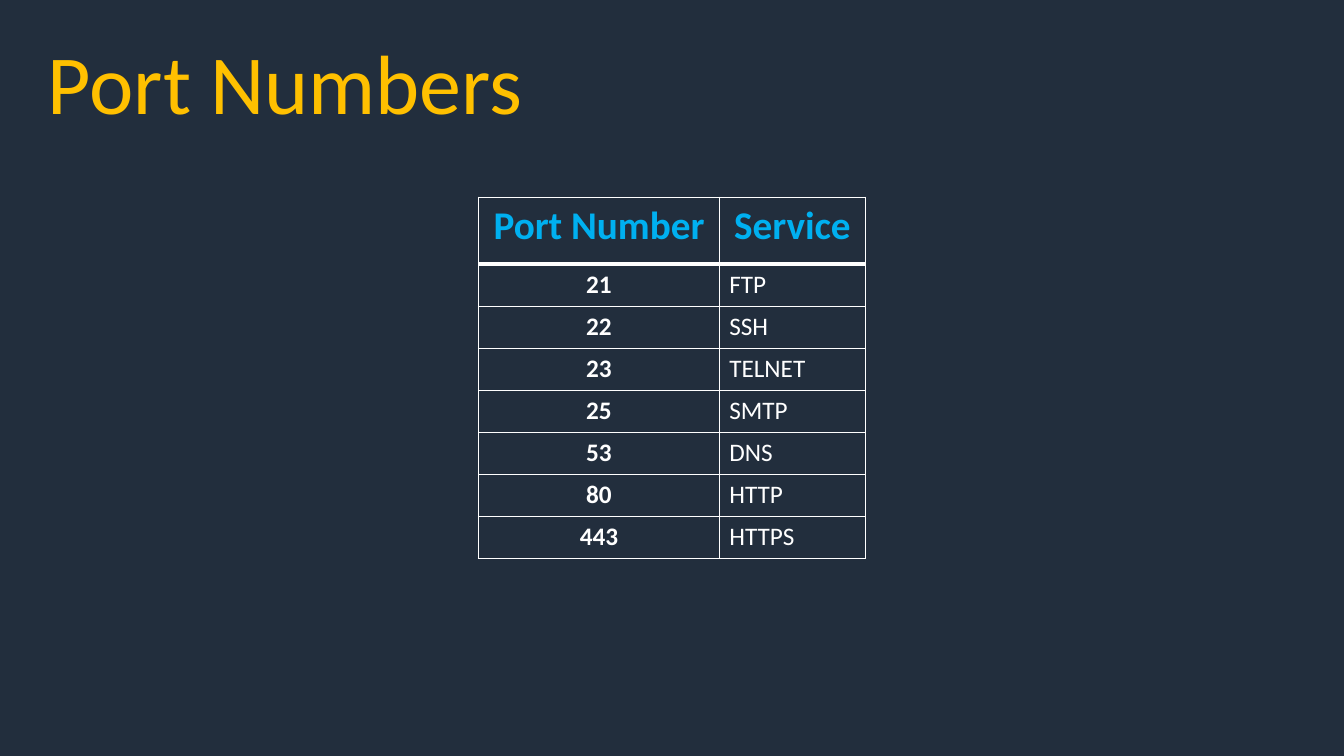
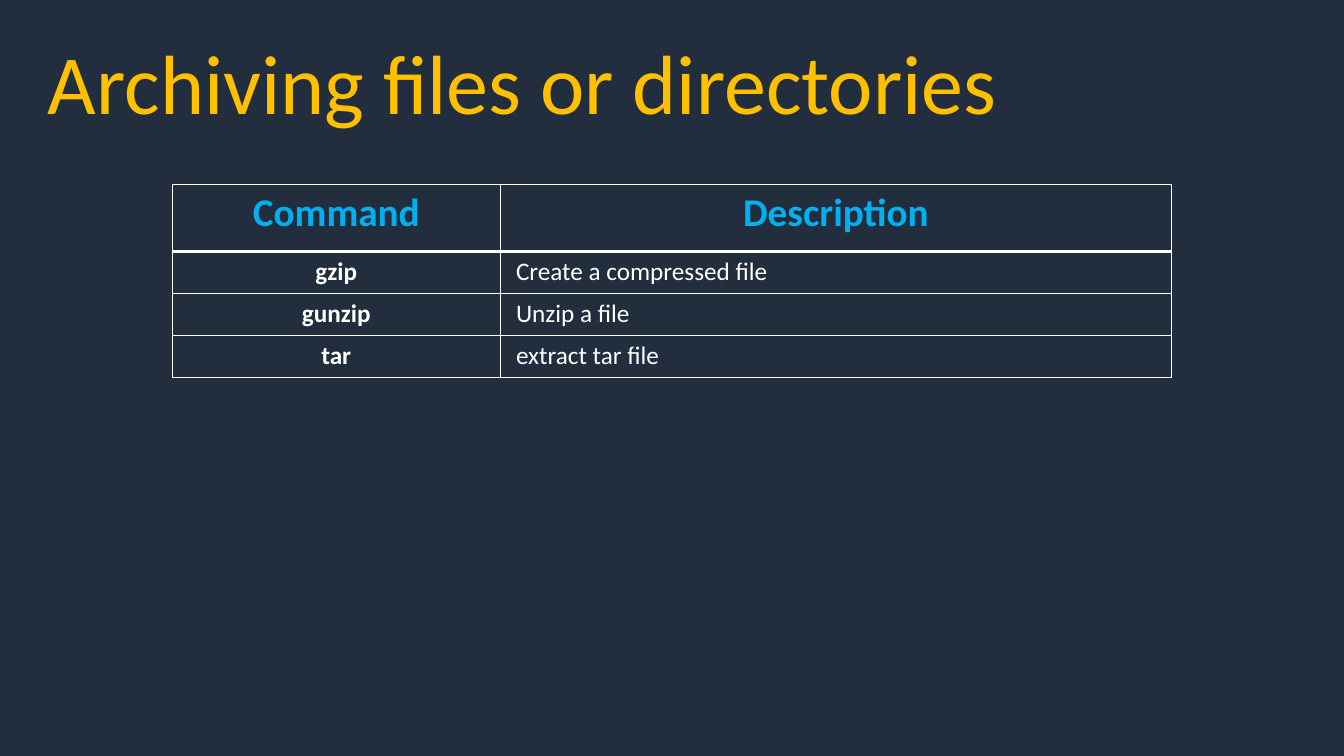
from lxml import etree
from pptx import Presentation
from pptx.dml.color import RGBColor
from pptx.enum.text import PP_ALIGN
from pptx.oxml.ns import qn
from pptx.util import Cm, Pt

LEFT, CENTER = PP_ALIGN.LEFT, PP_ALIGN.CENTER
SLIDE_WIDTH, SLIDE_HEIGHT = 33.87, 19.05
HEADER_HEIGHT, ROW_HEIGHT = 1.69, 1.06

PORTS = [
    ("Port Number", "Service"),
    ("21", "FTP"),
    ("22", "SSH"),
    ("23", "TELNET"),
    ("25", "SMTP"),
    ("53", "DNS"),
    ("80", "HTTP"),
    ("443", "HTTPS"),
]
ARCHIVE_COMMANDS = [
    ("Command", "Description"),
    ("gzip", "Create a compressed file"),
    ("gunzip", "Unzip a file"),
    ("tar", "extract tar file"),
]


def color(value):
    return RGBColor.from_string(value)


class Deck:
    FONT = "Calibri"
    BACKGROUND = "222E3D"
    TITLE = "FFC000"
    HEADER = "00B0F0"
    BODY = "FFFFFF"

    def __init__(self):
        self.presentation = Presentation()
        self.presentation.slide_width = Cm(SLIDE_WIDTH)
        self.presentation.slide_height = Cm(SLIDE_HEIGHT)
        self.slide = None

    def add_slide(self, title):
        layout = self.presentation.slide_layouts[6]
        self.slide = self.presentation.slides.add_slide(layout)
        fill = self.slide.background.fill
        fill.solid()
        fill.fore_color.rgb = color(self.BACKGROUND)
        self.add_title(title)

    def style(self, paragraph, size, hex_color, bold=False, align=LEFT):
        paragraph.alignment = align
        font = paragraph.font
        font.name = self.FONT
        font.size = Pt(size)
        font.bold = bold
        font.color.rgb = color(hex_color)

    def add_title(self, text):
        box = self.slide.shapes.add_textbox(0, Cm(0.64), Cm(SLIDE_WIDTH), Cm(2.82))
        frame = box.text_frame
        frame.word_wrap = True
        frame.margin_left = Cm(1.21)
        frame.text = text
        self.style(frame.paragraphs[0], 60, self.TITLE)

    def add_borders(self, cell, top, bottom):
        properties = cell._tc.get_or_add_tcPr()
        widths = {"a:lnL": 1, "a:lnR": 1, "a:lnT": top, "a:lnB": bottom}
        for tag, width in widths.items():
            line = etree.SubElement(properties, qn(tag), w=str(Pt(width)))
            fill = etree.SubElement(line, qn("a:solidFill"))
            etree.SubElement(fill, qn("a:srgbClr"), val=self.BODY)

    def add_table(self, rows, top, widths, text_indent=0.25):
        width = sum(widths)
        height = HEADER_HEIGHT + ROW_HEIGHT * (len(rows) - 1)
        left = (SLIDE_WIDTH - width) / 2
        table = self.slide.shapes.add_table(
            len(rows), len(widths), Cm(left), Cm(top), Cm(width), Cm(height)
        ).table
        table.first_row = table.horz_banding = False
        for column, column_width in zip(table.columns, widths):
            column.width = Cm(column_width)
        for row_index, texts in enumerate(rows):
            is_header = row_index == 0
            table.rows[row_index].height = Cm(HEADER_HEIGHT if is_header else ROW_HEIGHT)
            for column_index, text in enumerate(texts):
                cell = table.cell(row_index, column_index)
                is_key = is_header or column_index == 0
                cell.text = text
                if not is_key:
                    cell.margin_left = Cm(text_indent)
                self.style(
                    cell.text_frame.paragraphs[0],
                    28 if is_header else 18,
                    self.HEADER if is_header else self.BODY,
                    bold=is_key,
                    align=CENTER if is_key else LEFT,
                )
                self.add_borders(
                    cell,
                    top=3 if row_index == 1 else 1,
                    bottom=3 if is_header else 1,
                )
                cell.fill.background()


def main():
    deck = Deck()
    deck.add_slide("Port Numbers")
    deck.add_table(PORTS, 4.97, (6.07, 3.68))
    deck.add_slide("Archiving files or directories")
    deck.add_table(ARCHIVE_COMMANDS, 4.65, (8.26, 16.92), text_indent=0.4)
    deck.presentation.save("out.pptx")


if __name__ == "__main__":
    main()
